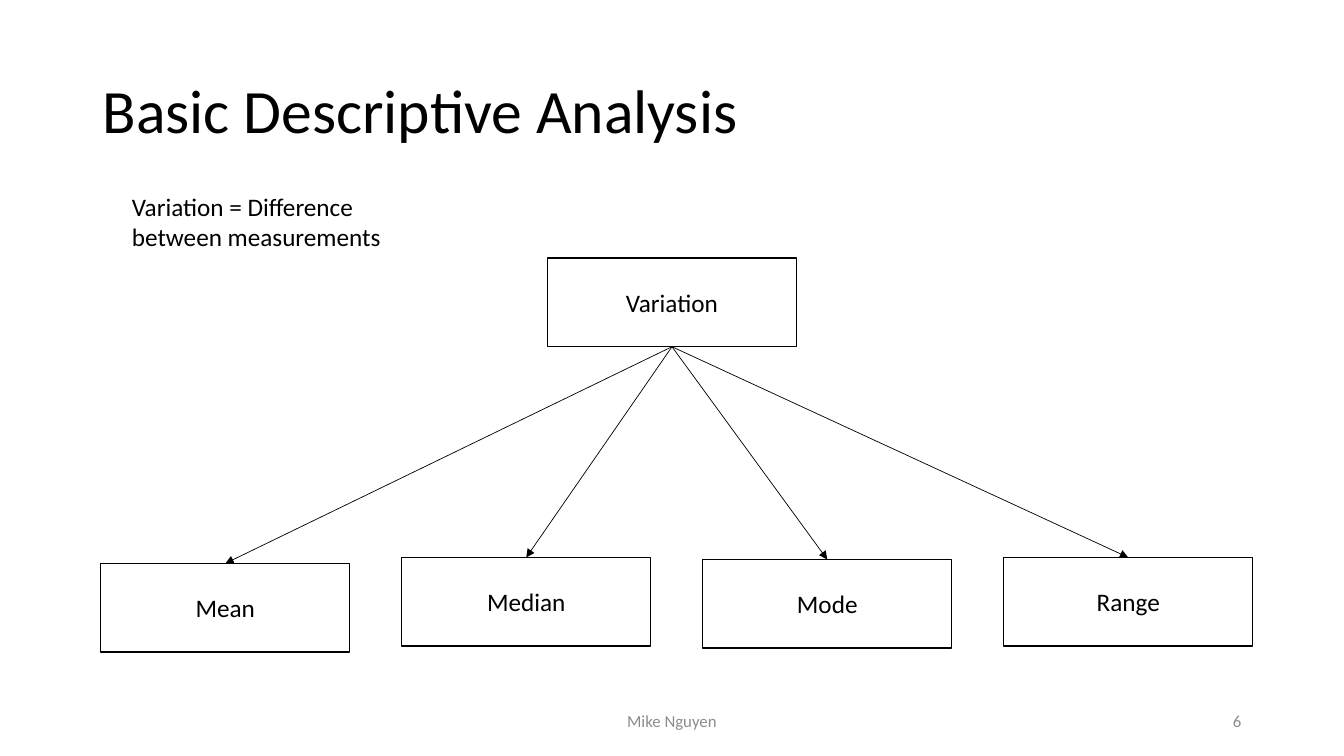
from lxml.etree import SubElement
from pptx import Presentation
from pptx.dml.color import RGBColor
from pptx.enum.shapes import MSO_CONNECTOR, MSO_SHAPE
from pptx.enum.text import MSO_ANCHOR, PP_ALIGN
from pptx.oxml.ns import qn
from pptx.util import Inches, Pt

BLACK = RGBColor(0x00, 0x00, 0x00)
WHITE = RGBColor(0xFF, 0xFF, 0xFF)
GRAY = RGBColor(0x8C, 0x8C, 0x8C)
FONT = "Calibri"

SLIDE_W, SLIDE_H = 13.33, 7.5
MARGIN = 0.92
CONTENT_W = SLIDE_W - 2 * MARGIN
NODE_W, NODE_H = 2.47, 0.88
MEASURE_LEFT, MEASURE_STEP = 1.0, 2.985
MEASURES = [("Mean", 5.59), ("Median", 5.53), ("Mode", 5.55), ("Range", 5.53)]


def write(shape, text, size, color=BLACK, align=PP_ALIGN.LEFT,
          anchor=MSO_ANCHOR.MIDDLE, spacing=None):
    frame = shape.text_frame
    frame.word_wrap = True
    frame.vertical_anchor = anchor
    paragraph = frame.paragraphs[0]
    paragraph.alignment = align
    if spacing:
        paragraph.line_spacing = spacing
    run = paragraph.add_run()
    run.text = text
    run.font.name = FONT
    run.font.size = Pt(size)
    run.font.color.rgb = color


def add_text(slide, box, text, size, **style):
    label = slide.shapes.add_textbox(*map(Inches, box))
    write(label, text, size, **style)


def add_node(slide, left, top, text):
    node = slide.shapes.add_shape(
        MSO_SHAPE.RECTANGLE, *map(Inches, (left, top, NODE_W, NODE_H)))
    node.shadow.inherit = False
    node.fill.solid()
    node.fill.fore_color.rgb = WHITE
    node.line.color.rgb = BLACK
    node.line.width = Pt(1)
    write(node, text, 18, align=PP_ALIGN.CENTER)
    return node


def add_arrow(slide, parent, child):
    """Connect the bottom of the parent to the top of the child."""
    arrow = slide.shapes.add_connector(MSO_CONNECTOR.STRAIGHT, 0, 0, 0, 0)
    arrow.begin_connect(parent, 2)
    arrow.end_connect(child, 0)
    arrow.line.color.rgb = BLACK
    arrow.line.width = Pt(0.5)
    SubElement(arrow.line._get_or_add_ln(), qn("a:tailEnd"), type="triangle")
    SubElement(arrow._element.spPr, qn("a:effectLst"))


def add_heading(slide, left, top, width):
    add_text(slide, (left, top, width, 1.45), "Basic Descriptive Analysis", 44,
             spacing=0.9)
    add_text(slide, (left + 0.29, top + 1.45, 2.83, 0.71),
             "Variation = Difference between measurements", 18,
             anchor=MSO_ANCHOR.TOP)


def add_tree(slide, left, top):
    root = add_node(slide, left + 4.43, top, "Variation")
    measures = [add_node(slide, left + column * MEASURE_STEP, row, name)
                for column, (name, row) in enumerate(MEASURES)]
    for measure in measures:
        add_arrow(slide, root, measure)


def add_footer(slide, left, top, width):
    height = 0.4
    author_w, number_w = 4.5, 3
    add_text(slide, (left + (width - author_w) / 2, top, author_w, height),
             "Mike Nguyen", 12, color=GRAY, align=PP_ALIGN.CENTER)
    add_text(slide, (left + width - number_w, top, number_w, height),
             "6", 12, color=GRAY, align=PP_ALIGN.RIGHT)


def main():
    deck = Presentation()
    deck.slide_width, deck.slide_height = Inches(SLIDE_W), Inches(SLIDE_H)
    slide = deck.slides.add_slide(deck.slide_layouts[6])
    add_heading(slide, MARGIN, 0.4, CONTENT_W)
    add_footer(slide, MARGIN, 6.95, CONTENT_W)
    add_tree(slide, MEASURE_LEFT, 2.56)
    deck.save("out.pptx")


if __name__ == "__main__":
    main()
